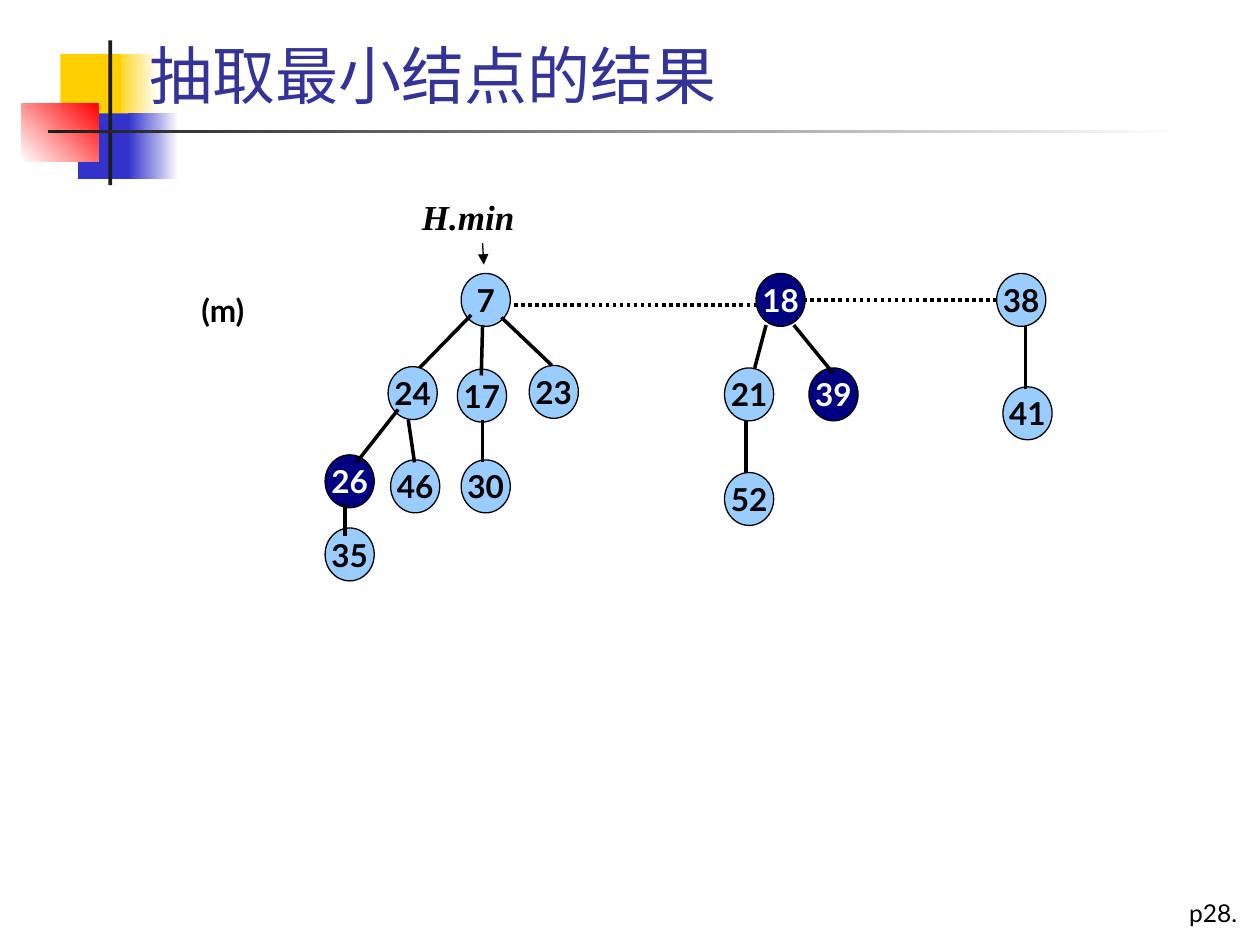
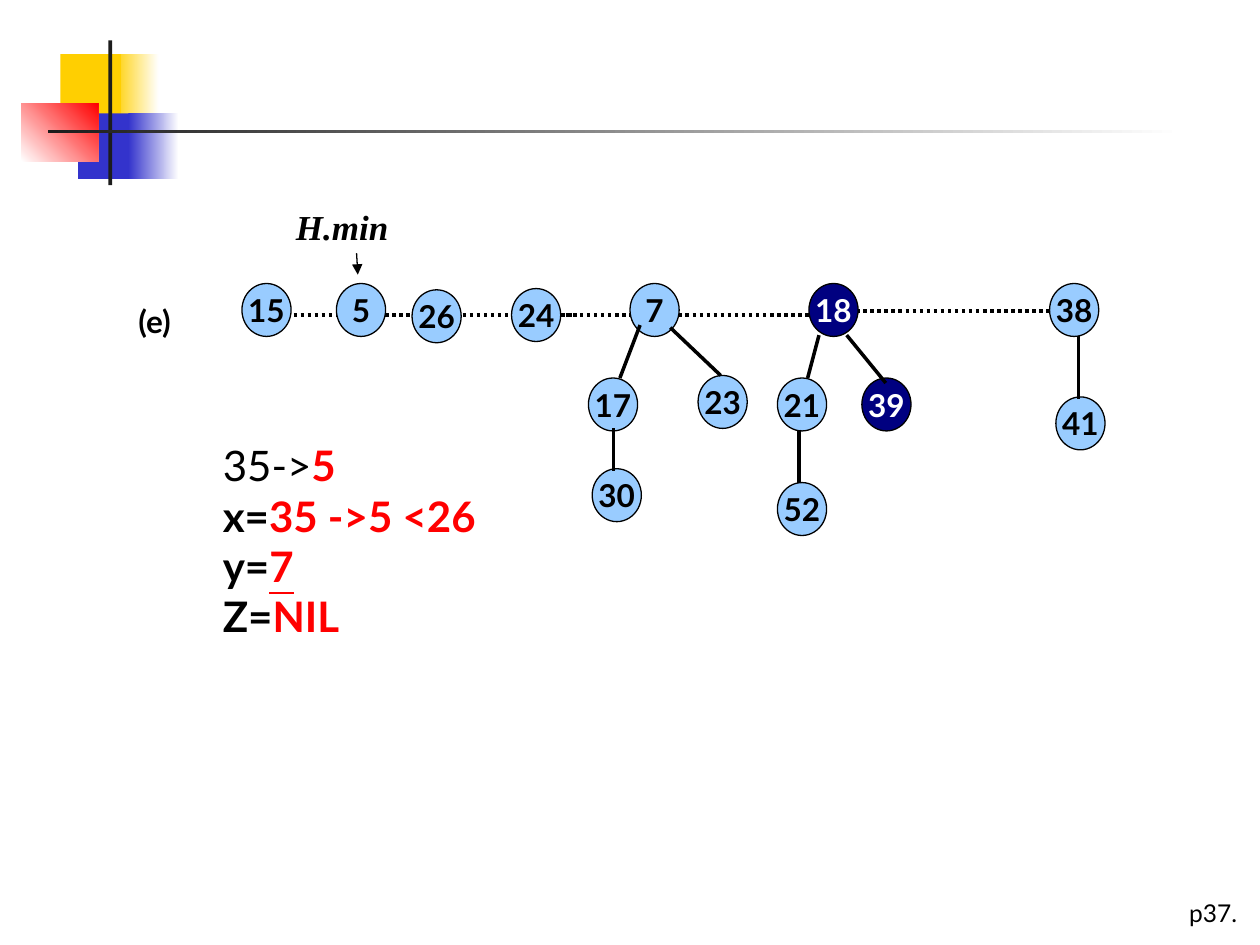
from lxml import etree
from pptx import Presentation
from pptx.dml.color import RGBColor
from pptx.enum.dml import MSO_LINE
from pptx.enum.shapes import MSO_CONNECTOR, MSO_SHAPE
from pptx.enum.text import MSO_ANCHOR, MSO_AUTO_SIZE, PP_ALIGN
from pptx.oxml.ns import qn
from pptx.util import Inches, Pt

RECTANGLE, ELLIPSE = MSO_SHAPE.RECTANGLE, MSO_SHAPE.OVAL
STRAIGHT, DOTTED = MSO_CONNECTOR.STRAIGHT, MSO_LINE.ROUND_DOT
MIDDLE, BOTTOM = MSO_ANCHOR.MIDDLE, MSO_ANCHOR.BOTTOM
LEFT, CENTER = PP_ALIGN.LEFT, PP_ALIGN.CENTER
GROW = MSO_AUTO_SIZE.SHAPE_TO_FIT_TEXT
TITLE_ONLY, BLANK = 5, 6

BLACK, WHITE, RED, YELLOW = "000000", "FFFFFF", "FF0000", "FFCF01"
BLUE, CHARCOAL, TITLE_BLUE = "3333CC", "1C1C1C", "333399"
NODE_LIGHT, NODE_MARKED = "99CCFF", "000080"
NODE_WIDTH, NODE_HEIGHT = 0.39, 0.42

PLAIN = {"name": "Lato", "size": Pt(24), "bold": False}
BOLD = {**PLAIN, "bold": True}
NODE_FONT = {**BOLD, "size": Pt(18)}
PAGE_FONT = {**PLAIN, "size": Pt(14)}
TITLE_FONT = {**PLAIN, "size": Pt(36)}
POINTER_FONT = {"name": "Times New Roman", "size": Pt(20), "bold": True, "italic": True}

BAND = [
    ((0.9, 0.43, 0.36, 0.52), (YELLOW, WHITE), 0),
    ((0.48, 0.43, 0.48, 0.52), (YELLOW,), 0),
    ((0.62, 0.9, 0.46, 0.52), (BLUE,), 0),
    ((1.02, 0.9, 0.4, 0.52), (BLUE, WHITE), 0),
    ((0.17, 0.82, 0.61, 0.46), (WHITE, RED), 45),
    ((0.86, 0.32, 0.03, 1.15), (CHARCOAL,), 0),
    ((0.38, 1.03, 9, 0.03), (CHARCOAL, WHITE), 0),
]

TREE_7 = {"nodes": [("7", 0, 0), ("23", 0.54, 0.73)],
          "edges": [(0.32, 0.35, 0.72, 0.73)]}
TREE_17 = {"nodes": [("17", 0, 0), ("30", 0.03, 0.72)],
           "edges": [(0.2, 0.4, 0.2, 0.74)]}
TREE_18 = {"nodes": [("18", 0, 0), ("21", -0.25, 0.75), ("39", 0.42, 0.75),
                     ("52", -0.25, 1.58)],
           "edges": [(0.08, 0.41, -0.01, 0.75), (0.3, 0.41, 0.61, 0.79),
                     (-0.08, 1.16, -0.08, 1.58)],
           "marked": {"18", "39"}}
TREE_24 = {"nodes": [("24", 0, 0), ("26", -0.5, 0.7), ("46", 0.02, 0.74),
                     ("35", -0.5, 1.28)],
           "edges": [(0.08, 0.34, -0.25, 0.76), (0.16, 0.42, 0.21, 0.76),
                     (-0.34, 1.09, -0.34, 1.34)],
           "marked": {"26"}}
TREE_38 = {"nodes": [("38", 0, 0), ("41", 0.05, 0.9)],
           "edges": [(0.23, 0.42, 0.23, 0.92)]}


def color(code):
    """Turn a hex string into a colour."""
    return RGBColor.from_string(code)


def write(para, text, font, code=BLACK):
    """Add a formatted span of text to a paragraph."""
    span = para.add_run()
    span.text = text
    for name, value in font.items():
        setattr(span.font, name, value)
    span.font.color.rgb = color(code)


def add_text_frame(page, box):
    """Add a text box that grows with its unwrapped text."""
    frame = page.shapes.add_textbox(*map(Inches, box)).text_frame
    frame.word_wrap = False
    frame.auto_size = GROW
    return frame


def add_label(page, box, text, font):
    """Add a label of one line."""
    write(add_text_frame(page, box).paragraphs[0], text, font)


def add_line(page, ends, width=2, dash=None, arrow=False):
    """Draw a black line, optionally dotted or with an arrowhead."""
    line = page.shapes.add_connector(STRAIGHT, *map(Inches, ends))
    line.line.color.rgb = color(BLACK)
    line.line.width = Pt(width)
    if dash:
        line.line.dash_style = dash
    outline = line.element.spPr.find(qn("a:ln"))
    if arrow:
        etree.SubElement(outline, qn("a:tailEnd"), type="triangle")
    etree.SubElement(line.element.spPr, qn("a:effectLst"))


def add_band(page):
    """Draw the coloured squares and rules at the top of a slide."""
    for box, codes, angle in BAND:
        block = page.shapes.add_shape(RECTANGLE, *map(Inches, box))
        block.shadow.inherit = False
        block.line.fill.background()
        if len(codes) == 1:
            block.fill.solid()
            block.fill.fore_color.rgb = color(codes[0])
            continue
        block.fill.gradient()
        block.fill.gradient_angle = angle
        for stop, code in zip(block.fill.gradient_stops, codes):
            stop.color.rgb = color(code)


def add_title(page, text):
    """Place and format the slide title in front of the band."""
    title = page.shapes.title
    title.element.getparent().append(title.element)
    title.left, title.top, title.width, title.height = map(Inches, (1.09, 0.19, 6.61, 0.75))
    title.text_frame.vertical_anchor = BOTTOM
    para = title.text_frame.paragraphs[0]
    para.alignment = LEFT
    write(para, text, TITLE_FONT, TITLE_BLUE)


def add_node(page, left, top, key, marked):
    """Draw one heap node with its key."""
    box = (left, top, NODE_WIDTH, NODE_HEIGHT)
    node = page.shapes.add_shape(ELLIPSE, *map(Inches, box))
    node.shadow.inherit = False
    node.fill.solid()
    node.fill.fore_color.rgb = color(NODE_MARKED if marked else NODE_LIGHT)
    node.line.color.rgb = color(BLACK)
    node.line.width = Pt(0.75)
    frame = node.text_frame
    settings = {"word_wrap": False, "vertical_anchor": MIDDLE, "margin_left": 0,
                "margin_right": 0, "margin_top": 0, "margin_bottom": 0}
    for name, value in settings.items():
        setattr(frame, name, value)
    frame.paragraphs[0].alignment = CENTER
    write(frame.paragraphs[0], key, NODE_FONT, WHITE if marked else BLACK)


def add_tree(page, left, top, tree):
    """Draw a tree whose root node sits at the given corner."""
    for key, right, down in tree["nodes"]:
        add_node(page, left + right, top + down, key, key in tree.get("marked", ()))
    for x1, y1, x2, y2 in tree.get("edges", ()):
        add_line(page, (left + x1, top + y1, left + x2, top + y2))


def single(key):
    """Describe a tree made of one unmarked node."""
    return {"nodes": [(key, 0, 0)]}


def add_heap(page, root_links, trees, cross_edges):
    """Draw the root list, its trees and the edges between them."""
    for ends in root_links:
        add_line(page, ends, dash=DOTTED)
    for left, top, tree in trees:
        add_tree(page, left, top, tree)
    for ends in cross_edges:
        add_line(page, ends)


def add_pointer(page, left, top):
    """Write H.min with an arrow down to the minimum node."""
    add_label(page, (left, top, 0.95, 0.43), "H.min", POINTER_FONT)
    x, y = left + 0.58, top + 0.43
    add_line(page, (x, y, x + 0.01, y + 0.17), width=0.75, arrow=True)


def add_steps(page, box):
    """List the values of the decrease-key step."""
    frame = add_text_frame(page, box)
    frame.word_wrap = True
    steps = [("35->", PLAIN, "5", BOLD), ("x=", BOLD, "35 ->5 <26", BOLD),
             ("y=", BOLD, "7", {**BOLD, "underline": True}), ("Z=", BOLD, "NIL", BOLD)]
    for index, (name, name_font, value, value_font) in enumerate(steps):
        para = frame.add_paragraph() if index else frame.paragraphs[0]
        write(para, name, name_font)
        write(para, value, value_font, RED)


def add_page(deck, layout, number):
    """Add a slide with the shared band and page number."""
    page = deck.slides.add_slide(deck.slide_layouts[layout])
    add_band(page)
    add_label(page, (9.34, 7.08, 0.66, 0.33), f"p{number}.", PAGE_FONT)
    return page


def add_extract_result(deck):
    """Build the slide with the heap after extracting the minimum."""
    page = add_page(deck, TITLE_ONLY, 28)
    add_title(page, "抽取最小结点的结果")
    add_label(page, (1.5, 2.26, 0.66, 0.4), "(m)", NODE_FONT)
    add_heap(
        page,
        [(4.08, 2.42, 6.08, 2.42), (6.04, 2.38, 7.92, 2.38)],
        [(3.66, 2.17, TREE_7), (6, 2.17, TREE_18), (7.91, 2.17, TREE_38),
         (3.63, 2.93, TREE_17), (3.08, 2.91, TREE_24)],
        [(3.83, 2.58, 3.82, 2.98), (3.74, 2.5, 3.33, 2.92)])
    add_pointer(page, 3.25, 1.5)


def add_decrease_key(deck):
    """Build the slide with the heap after decreasing a key."""
    page = add_page(deck, BLANK, 37)
    add_label(page, (1, 2.35, 0.58, 0.4), "(e)", NODE_FONT)
    add_heap(
        page,
        [(2.33, 2.5, 4.58, 2.5), (4.49, 2.5, 6.49, 2.5), (6.46, 2.47, 8.33, 2.47)],
        [(1.92, 2.25, single("15")), (2.67, 2.25, single("5")),
         (3.27, 2.3, single("26")), (4.06, 2.29, single("24")),
         (5, 2.25, TREE_7), (6.42, 2.25, TREE_18), (8.33, 2.25, TREE_38),
         (4.67, 3, TREE_17)],
        [(5.08, 2.58, 4.92, 3)])
    add_pointer(page, 2.25, 1.58)
    add_steps(page, (1.67, 3.44, 2.64, 1.72))


def main():
    """Build and save the deck."""
    deck = Presentation()
    deck.slide_width, deck.slide_height = Inches(10), Inches(7.5)
    add_extract_result(deck)
    add_decrease_key(deck)
    deck.save("out.pptx")


if __name__ == "__main__":
    main()
